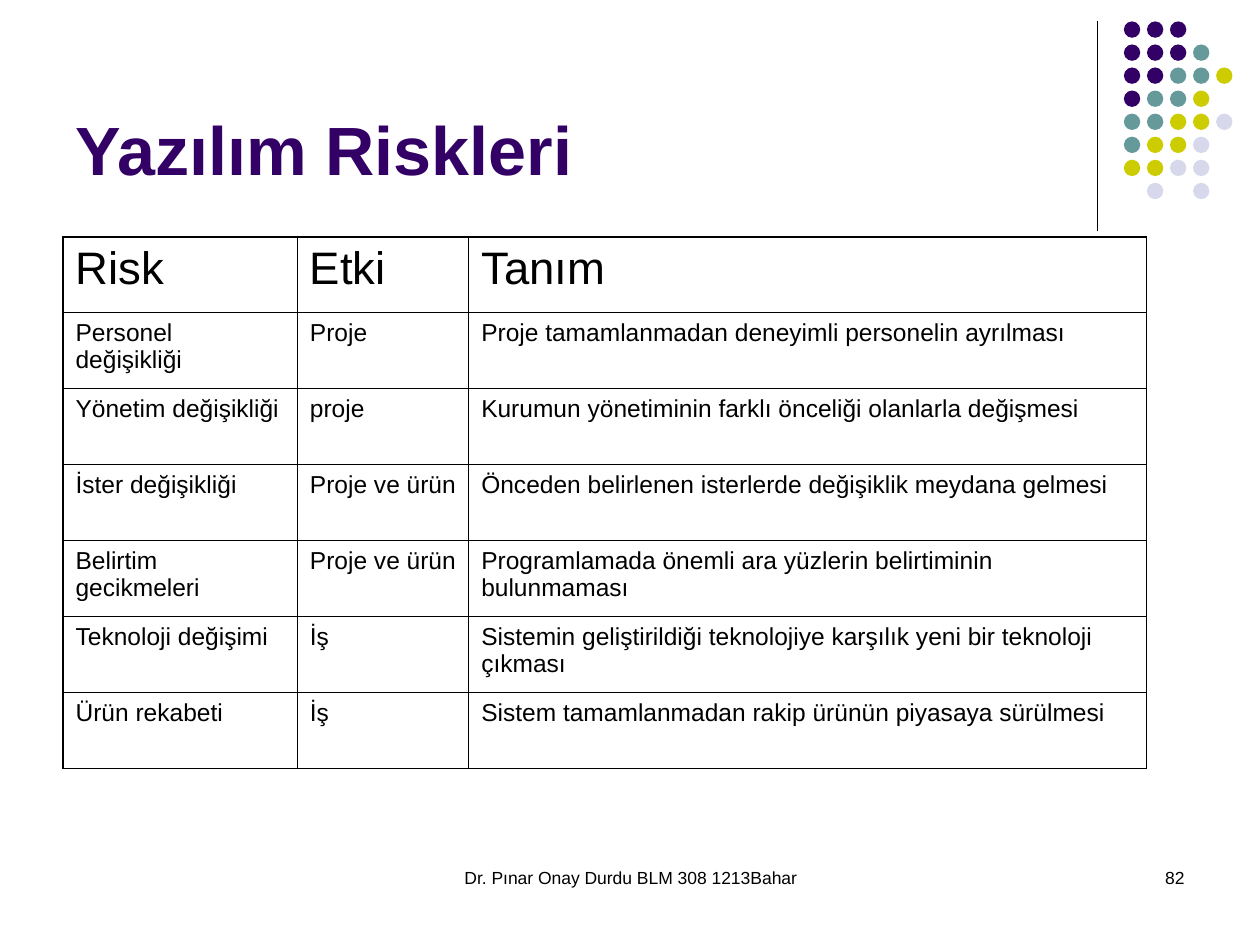
import pptx
import pptx.util
import pptx.dml.color
import pptx.enum.shapes
import pptx.enum.text
import pptx.oxml.ns
from lxml import etree
from pptx.util import Inches

BLACK = pptx.dml.color.RGBColor(0x00, 0x00, 0x00)
PURPLE = pptx.dml.color.RGBColor(0x33, 0x00, 0x66)
TEAL = pptx.dml.color.RGBColor(0x66, 0x99, 0x99)
YELLOW = pptx.dml.color.RGBColor(0xCC, 0xCC, 0x00)
LAVENDER = pptx.dml.color.RGBColor(0xD8, 0xD8, 0xEC)
THICK, THIN = pptx.util.Pt(1.08), pptx.util.Pt(0.45)
ALIGN = pptx.enum.text.PP_ALIGN


def format_paragraph(paragraph, size, color=BLACK, alignment=ALIGN.LEFT, bold=False):
    paragraph.alignment = alignment
    paragraph.font.name = "Arial"
    paragraph.font.size = pptx.util.Pt(size)
    paragraph.font.bold = bold
    paragraph.font.color.rgb = color


def set_border(cell, side, width):
    properties = cell._tc.get_or_add_tcPr()
    line = etree.SubElement(properties, pptx.oxml.ns.qn(f"a:{side}"), w=str(width))
    fill = etree.SubElement(line, pptx.oxml.ns.qn("a:solidFill"))
    etree.SubElement(fill, pptx.oxml.ns.qn("a:srgbClr"), val=str(BLACK))


presentation = pptx.Presentation()
presentation.slide_width = Inches(10)
presentation.slide_height = Inches(7.5)
slide = presentation.slides.add_slide(presentation.slide_layouts[5])

# Vertical rule beside the dots
rule = slide.shapes.add_connector(
    pptx.enum.shapes.MSO_CONNECTOR.STRAIGHT,
    Inches(8.71), Inches(0.17), Inches(8.71), Inches(1.83))
rule.line.color.rgb = BLACK
rule.line.width = pptx.util.Pt(0.75)
etree.SubElement(rule._element.spPr, pptx.oxml.ns.qn("a:effectLst"))

# Dot pattern, one letter per dot colour
dot_colors = {"P": PURPLE, "T": TEAL, "Y": YELLOW, "L": LAVENDER}
dot_rows = ["PPP", "PPPT", "PPTTY", "PTTY", "TTYYL", "TYYL", "YYLL", ".L.L"]
dots = slide.shapes.add_group_shape()
for row, letters in enumerate(dot_rows):
    for column, letter in enumerate(letters):
        if letter not in dot_colors:
            continue
        dot = dots.shapes.add_shape(
            pptx.enum.shapes.MSO_SHAPE.OVAL,
            Inches(8.92 + 0.183 * column), Inches(0.17 + 0.183 * row),
            Inches(0.13), Inches(0.13))
        dot.shadow.inherit = False
        dot.fill.solid()
        dot.fill.fore_color.rgb = dot_colors[letter]
        dot.line.fill.background()

# Title
title = slide.shapes.title
title.left, title.top = Inches(0.5), Inches(0.13)
title.width, title.height = Inches(8.25), Inches(1.42)
title.text_frame.text = "Yazılım Riskleri"
title.text_frame.vertical_anchor = pptx.enum.text.MSO_ANCHOR.BOTTOM
format_paragraph(title.text_frame.paragraphs[0], 39, PURPLE, bold=True)

# Footer and slide number
for text, left, width, alignment in [
    ("Dr. Pınar Onay Durdu BLM 308 1213Bahar", 3.42, 3.17, ALIGN.CENTER),
    ("82", 7.17, 2.33, ALIGN.RIGHT),
]:
    footer = slide.shapes.add_textbox(
        Inches(left), Inches(6.83), Inches(width), Inches(0.5))
    footer.text_frame.word_wrap = True
    footer.text_frame.text = text
    format_paragraph(footer.text_frame.paragraphs[0], 10, alignment=alignment)

# Risk table
risks = [
    ("Risk", "Etki", "Tanım"),
    ("Personel değişikliği", "Proje",
     "Proje tamamlanmadan deneyimli personelin ayrılması"),
    ("Yönetim değişikliği", "proje",
     "Kurumun yönetiminin farklı önceliği olanlarla değişmesi"),
    ("İster değişikliği", "Proje ve ürün",
     "Önceden belirlenen isterlerde değişiklik meydana gelmesi"),
    ("Belirtim gecikmeleri", "Proje ve ürün",
     "Programlamada önemli ara yüzlerin belirtiminin bulunmaması"),
    ("Teknoloji değişimi", "İş",
     "Sistemin geliştirildiği teknolojiye karşılık yeni bir teknoloji çıkması"),
    ("Ürün rekabeti", "İş",
     "Sistem tamamlanmadan rakip ürünün piyasaya sürülmesi"),
]
column_widths = [1.86, 1.36, 5.38]
last_row, last_column = len(risks) - 1, len(column_widths) - 1
table = slide.shapes.add_table(
    len(risks), len(column_widths),
    Inches(0.5), Inches(1.88), Inches(8.6), Inches(4.22)).table
table.first_row = False
table.horz_banding = False
for column, width in enumerate(column_widths):
    table.columns[column].width = Inches(width)

for row, texts in enumerate(risks):
    for column, text in enumerate(texts):
        cell = table.cell(row, column)
        cell.text = text
        cell.margin_left = cell.margin_right = Inches(0.1)
        cell.margin_top = cell.margin_bottom = Inches(0.05)
        format_paragraph(cell.text_frame.paragraphs[0], 26 if row == 0 else 14)
        # Outer edges are thick, inner ones thin
        set_border(cell, "lnL", THICK if column == 0 else THIN)
        set_border(cell, "lnR", THICK if column == last_column else THIN)
        set_border(cell, "lnT", THICK if row == 0 else THIN)
        set_border(cell, "lnB", THICK if row == last_row else THIN)
        cell.fill.background()

presentation.save("out.pptx")
